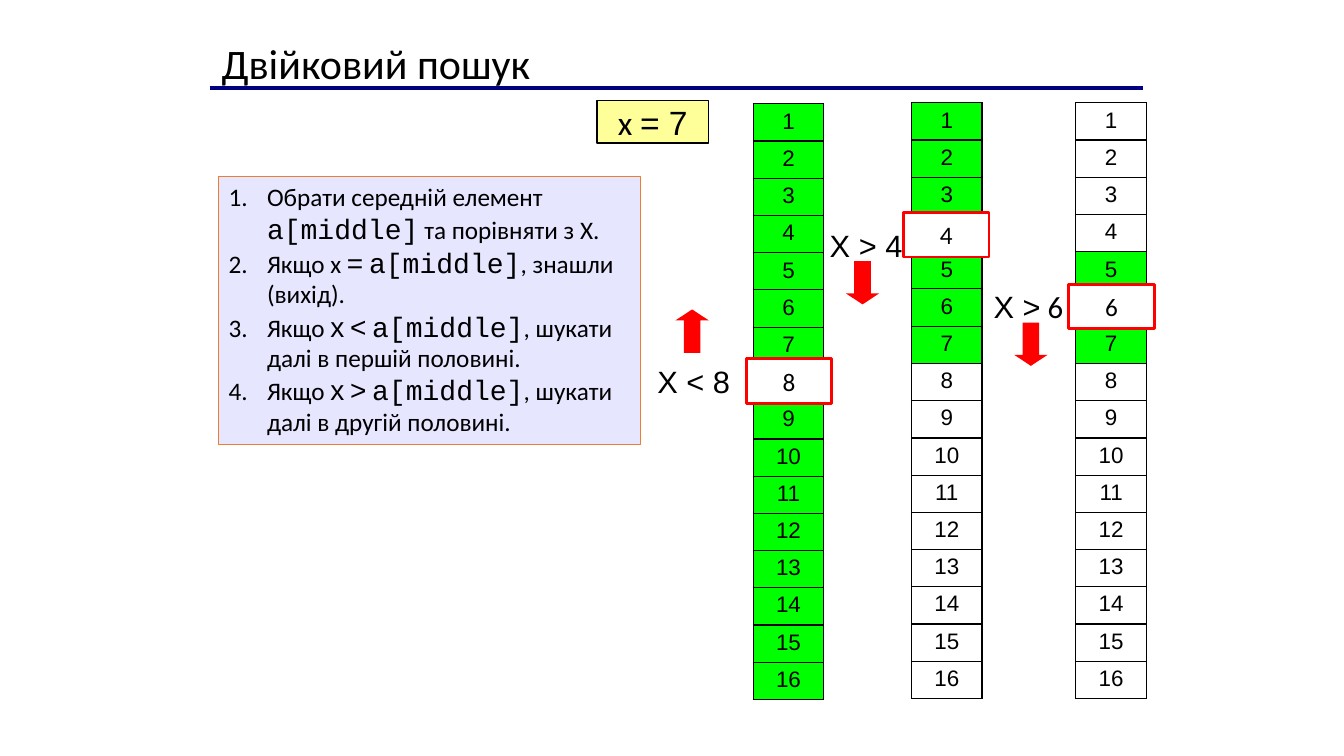
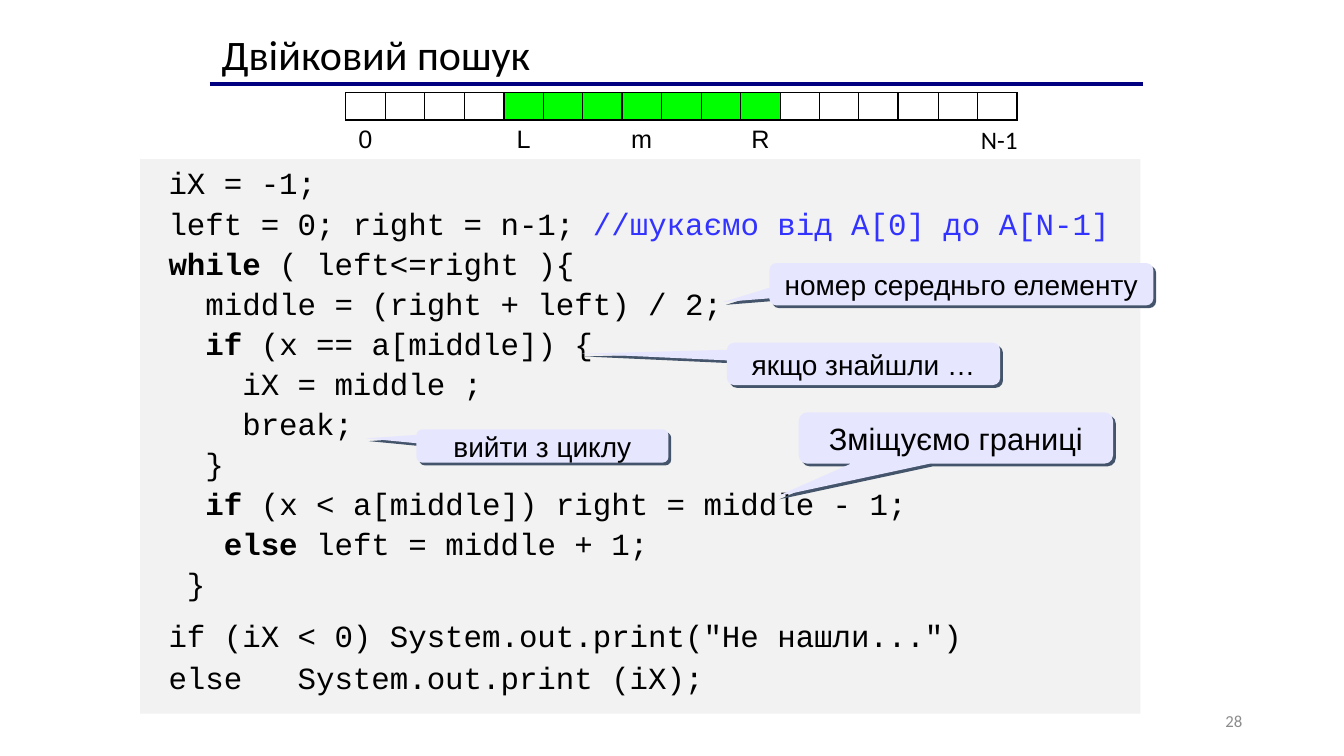
from dataclasses import dataclass
from typing import Optional

from lxml.etree import SubElement
from pptx import Presentation
from pptx.dml.color import RGBColor
from pptx.enum.shapes import MSO_CONNECTOR, MSO_SHAPE
from pptx.enum.text import MSO_ANCHOR, PP_ALIGN
from pptx.oxml.ns import qn
from pptx.shapes.autoshape import Shape
from pptx.slide import Slide
from pptx.table import _Cell
from pptx.util import Emu, Pt

EMU_PER_PX = 9144


@dataclass(frozen=True)
class Theme:
    """Colours, fonts and type sizes of the presentation."""
    black: str = "000000"
    white: str = "FFFFFF"
    navy: str = "000080"
    green: str = "00FF00"
    red: str = "FF0000"
    yellow: str = "FFFF99"
    lavender: str = "E6E6FF"
    orange: str = "ED7D31"
    panel: str = "F2F2F2"
    comment: str = "3333FF"
    shadow: str = "44546A"
    muted: str = "8C8C8C"
    body: str = "Calibri"
    sans: str = "Arial"
    mono: str = "Courier New"
    title_size: int = 30
    target_size: int = 24
    code_size: int = 22
    formula_size: int = 20
    body_size: int = 18
    cell_size: int = 16
    small_size: int = 12
    empty_size: int = 8


THEME = Theme()


@dataclass(frozen=True)
class Run:
    """A piece of text in one format."""
    text: str
    size: int = THEME.body_size
    font: str = THEME.body
    color: str = THEME.black
    bold: bool = False


@dataclass(frozen=True)
class Line:
    """A paragraph and the space before it in points."""
    runs: tuple[Run, ...]
    before: float = 0


@dataclass(frozen=True)
class Area:
    """A rectangle in px."""
    left: int
    top: int
    width: int
    height: int

    def emu(self) -> tuple[Emu, ...]:
        """Return the rectangle in EMU."""
        return tuple(map(px, (self.left, self.top, self.width, self.height)))


@dataclass(frozen=True)
class Box:
    """Text with an optional preset outline, fill and border."""
    area: Area
    lines: tuple[Line, ...] = ()
    preset: Optional[MSO_SHAPE] = None
    fill: Optional[str] = None
    border: Optional[str] = None
    border_width: float = 1
    align: PP_ALIGN = PP_ALIGN.LEFT
    anchor: MSO_ANCHOR = MSO_ANCHOR.TOP
    wrap: bool = True
    adjustments: tuple[float, ...] = ()


@dataclass(frozen=True)
class Grid:
    """A table with some highlighted cells."""
    area: Area
    columns: int
    texts: tuple[str, ...]
    lit: range
    size: int
    fill: Optional[str] = THEME.white
    border: Optional[str] = THEME.black


@dataclass(frozen=True)
class Step:
    """One step of the search: its column, middle element and next move."""
    left: int
    top: int
    lit: range
    marker: Area
    middle: str
    label: Area
    comparison: tuple[Run, ...]
    arrow: Area
    arrow_preset: MSO_SHAPE = MSO_SHAPE.DOWN_ARROW


@dataclass(frozen=True)
class Callout:
    """A note pointing at a code line."""
    area: Area
    text: str
    size: int
    tip: tuple[float, float]


def px(length: int) -> Emu:
    """Turn px into EMU."""
    return Emu(length * EMU_PER_PX)


def rgb(color: str) -> RGBColor:
    """Turn a hex string into a colour."""
    return RGBColor.from_string(color)


def add_box(slide: Slide, box: Box) -> Shape:
    """Draw a box and its text."""
    if box.preset is None:
        shape = slide.shapes.add_textbox(*box.area.emu())
    else:
        shape = slide.shapes.add_shape(box.preset, *box.area.emu())
        shape.shadow.inherit = False
        for index, value in enumerate(box.adjustments):
            shape.adjustments[index] = value
        if box.border:
            shape.line.color.rgb = rgb(box.border)
            shape.line.width = Pt(box.border_width)
        else:
            shape.line.fill.background()
    if box.fill:
        shape.fill.solid()
        shape.fill.fore_color.rgb = rgb(box.fill)
    frame = shape.text_frame
    frame.word_wrap = box.wrap
    frame.vertical_anchor = box.anchor
    frame.margin_left = frame.margin_right = px(10)
    frame.margin_top = frame.margin_bottom = px(5)
    for index, line in enumerate(box.lines):
        paragraph = frame.add_paragraph() if index else frame.paragraphs[0]
        paragraph.alignment = box.align
        if line.before:
            paragraph.space_before = Pt(line.before)
        for piece in line.runs:
            run = paragraph.add_run()
            run.text = piece.text
            run.font.size, run.font.name = Pt(piece.size), piece.font
            run.font.bold, run.font.color.rgb = piece.bold, rgb(piece.color)
    return shape


def add_centred(slide: Slide, area: Area, runs: tuple[Run, ...], **style) -> Shape:
    """Draw one line of text in the middle of a box."""
    return add_box(slide, Box(area, (Line(runs),), align=PP_ALIGN.CENTER, anchor=MSO_ANCHOR.MIDDLE, **style))


def set_borders(cell: _Cell, color: Optional[str]) -> None:
    """Give a cell four equal borders, or none."""
    for side in ("a:lnL", "a:lnR", "a:lnT", "a:lnB"):
        border = SubElement(cell._tc.get_or_add_tcPr(), qn(side), w=str(Pt(1)))
        if color:
            SubElement(SubElement(border, qn("a:solidFill")), qn("a:srgbClr"), val=color)
        else:
            SubElement(border, qn("a:noFill"))


def share(total: int, count: int) -> list[int]:
    """Split a length into whole px parts that add up to it."""
    edges = [round(index * total / count) for index in range(count + 1)]
    return [end - start for start, end in zip(edges, edges[1:])]


def add_grid(slide: Slide, grid: Grid) -> None:
    """Draw a table of short centred values."""
    rows = len(grid.texts) // grid.columns
    table = slide.shapes.add_table(rows, grid.columns, *grid.area.emu()).table
    table.first_row = table.horz_banding = False
    for column, width in zip(table.columns, share(grid.area.width, grid.columns)):
        column.width = px(width)
    for row, height in zip(table.rows, share(grid.area.height, rows)):
        row.height = px(height)
    for index, (cell, text) in enumerate(zip(table.iter_cells(), grid.texts)):
        set_borders(cell, grid.border)
        fill = THEME.green if index in grid.lit else grid.fill
        if fill:
            cell.fill.solid()
            cell.fill.fore_color.rgb = rgb(fill)
        else:
            cell.fill.background()
        cell.margin_left = cell.margin_right = 0
        cell.margin_top = cell.margin_bottom = px(5)
        paragraph = cell.text_frame.paragraphs[0]
        paragraph.alignment = PP_ALIGN.CENTER
        if text:
            paragraph.text = text
            font = paragraph.runs[0].font
            font.size, font.name, font.color.rgb = Pt(grid.size), THEME.sans, rgb(THEME.black)
        else:
            SubElement(paragraph._p, qn("a:endParaRPr"), sz=str(grid.size * 100))


def add_heading(slide: Slide, top: int, rule: int) -> None:
    """Draw the title and the rule below it."""
    line = slide.shapes.add_connector(MSO_CONNECTOR.STRAIGHT, px(208), px(rule), px(1134), px(rule))
    line.line.color.rgb = rgb(THEME.navy)
    line.line.width = Pt(3)
    SubElement(line._element.spPr, qn("a:effectLst"))
    add_box(slide, Box(Area(210, top, 890, 60), (Line((Run("Двійковий пошук", THEME.title_size),)),)))


def add_step(slide: Slide, step: Step) -> None:
    """Draw one step of the search."""
    numbers = tuple(str(number) for number in range(1, 17))
    add_grid(slide, Grid(Area(step.left, step.top, 70, 590), 1, numbers, step.lit, THEME.cell_size))
    add_centred(slide, step.marker, (Run(step.middle),), preset=MSO_SHAPE.RECTANGLE,
                fill=THEME.white, border=THEME.red, border_width=2, wrap=False)
    add_centred(slide, step.label, step.comparison, wrap=False)
    add_box(slide, Box(step.arrow, preset=step.arrow_preset, fill=THEME.red, adjustments=(0.5, 0.33)))


def add_callout(slide: Slide, callout: Callout) -> None:
    """Draw a note with a hard shadow."""
    shape = add_centred(slide, callout.area, (Run(callout.text, callout.size, THEME.sans),),
                        preset=MSO_SHAPE.ROUNDED_RECTANGULAR_CALLOUT, fill=THEME.lavender,
                        adjustments=(*callout.tip, 0.17))
    effects = shape._element.spPr.find(qn("a:effectLst"))
    shadow = SubElement(effects, qn("a:outerShdw"), dist=str(Pt(2.8)), dir="2700000", algn="ctr", rotWithShape="0")
    SubElement(shadow, qn("a:srgbClr"), val=THEME.shadow)


def formula(text: str, font: str = THEME.sans) -> Run:
    """Return a run in the size of formulas."""
    return Run(text, THEME.formula_size, font)


def code(*pieces: str, bold: int = -1, before: float = 2.2) -> Line:
    """Return a code line with one piece in bold and comments in colour."""
    return Line(tuple(
        Run(text, THEME.code_size, THEME.mono, THEME.comment if text.startswith("//") else THEME.black, index == bold)
        for index, text in enumerate(pieces)), before)


def build_search_steps(slide: Slide) -> None:
    """Build the slide that shows the search step by step."""
    add_heading(slide, 32, 87)
    add_centred(slide, Area(592, 100, 111, 42), (Run("x ", THEME.target_size), Run("= 7", THEME.target_size, THEME.sans)),
                preset=MSO_SHAPE.RECTANGLE, fill=THEME.yellow, border=THEME.black, wrap=False)
    size, sans = THEME.code_size, THEME.sans
    for step in (
        Step(747, 103, range(16), Area(740, 356, 85, 44), "8", Area(628, 357, 120, 42),
             (Run("X < 8", size, sans),), Area(670, 307, 33, 43), MSO_SHAPE.UP_ARROW),
        Step(904, 102, range(7), Area(896, 211, 85, 44), "4", Area(799, 222, 120, 42),
             (Run("X > 4", size, sans),), Area(839, 259, 33, 43)),
        Step(1067, 102, range(4, 7), Area(1060, 282, 85, 44), "6", Area(960, 283, 120, 42),
             (Run("X >", size, sans), Run(" 6", size)), Area(1006, 320, 33, 43)),
    ):
        add_step(slide, step)
    element = formula("a[middle]", THEME.mono)
    rules = [(Run("Обрати середній елемент "), element, Run(" та порівняти з X.")),
             (Run("Якщо x "), formula("="), Run(" "), element, Run(", знашли (вихід)."))]
    for sign, half in (("<", "першій"), (">", "другій")):
        rules.append((Run("Якщо "), formula("x"), Run(" "), formula(sign), Run(" "), element,
                      Run(f", шукати далі в {half} половині.")))
    shape = add_box(slide, Box(Area(217, 175, 418, 266), tuple(map(Line, rules)), MSO_SHAPE.RECTANGLE,
                               THEME.lavender, THEME.orange, 0.75))
    for paragraph in shape.text_frame.paragraphs:
        properties = paragraph._p.get_or_add_pPr()
        properties.set("marL", str(px(38)))
        properties.set("indent", str(px(-38)))
        SubElement(SubElement(properties, qn("a:buClr")), qn("a:srgbClr"), val=THEME.black)
        SubElement(properties, qn("a:buAutoNum"), type="arabicPeriod")


def build_search_code(slide: Slide) -> None:
    """Build the slide that shows the code of the search."""
    add_box(slide, Box(Area(942, 695, 300, 40), (Line((Run("28", THEME.small_size, color=THEME.muted),)),),
                       align=PP_ALIGN.RIGHT, anchor=MSO_ANCHOR.MIDDLE))
    add_heading(slide, 23, 83)
    marks = {0: "0", 4: "L", 7: "m", 10: "R"}
    labels = tuple(marks.get(index, "") for index in range(17))
    add_grid(slide, Grid(Area(343, 92, 666, 27), 17, ("",) * 17, range(4, 11), THEME.empty_size))
    add_grid(slide, Grid(Area(343, 120, 666, 40), 17, labels, range(0), THEME.body_size, None, None))
    add_box(slide, Box(Area(963, 118, 57, 41), (Line((Run("N-1"),)),), wrap=False))
    add_box(slide, Box(Area(139, 158, 992, 550), (
        code(" iX = -1;", before=0),
        code(" left = 0; right = n-1; ", "//шукаємо від A[0] до A[N-1]"),
        code(" ", "while", " ( left<=right ){", bold=1),
        code("   middle = (right + left) / 2;"),
        code("   ", "if", " (x == a[middle]) {", bold=1),
        code("     iX = middle ;"),
        code("     break;"),
        code("   }"),
        code("   ", "if", " (x < a[middle]) right = middle - 1;", bold=1),
        code("   ", " else ", "left = middle + 1;", bold=1),
        code("  }"),
        code(" if (iX < 0) System.out.print(\"Не нашли...\")", before=11),
        code(" else   System.out.print (iX);", before=3.3),
    ), MSO_SHAPE.RECTANGLE, THEME.panel))
    for callout in (
        Callout(Area(763, 261, 381, 42), "номер середньго елементу", THEME.formula_size, (-0.62, 0.42)),
        Callout(Area(721, 340, 271, 42), "якщо знайшли …", THEME.formula_size, (-1.03, -0.24)),
        Callout(Area(413, 426, 250, 33), "вийти з циклу", THEME.formula_size, (-0.7, -0.23)),
        Callout(Area(792, 409, 312, 51), "Зміщуємо границі", THEME.code_size, (-0.57, 1.14)),
    ):
        add_callout(slide, callout)


def main() -> None:
    """Build and save the presentation."""
    presentation = Presentation()
    presentation.slide_width, presentation.slide_height = px(1333), px(750)
    for build in (build_search_steps, build_search_code):
        build(presentation.slides.add_slide(presentation.slide_layouts[6]))
    presentation.save("out.pptx")


if __name__ == "__main__":
    main()
